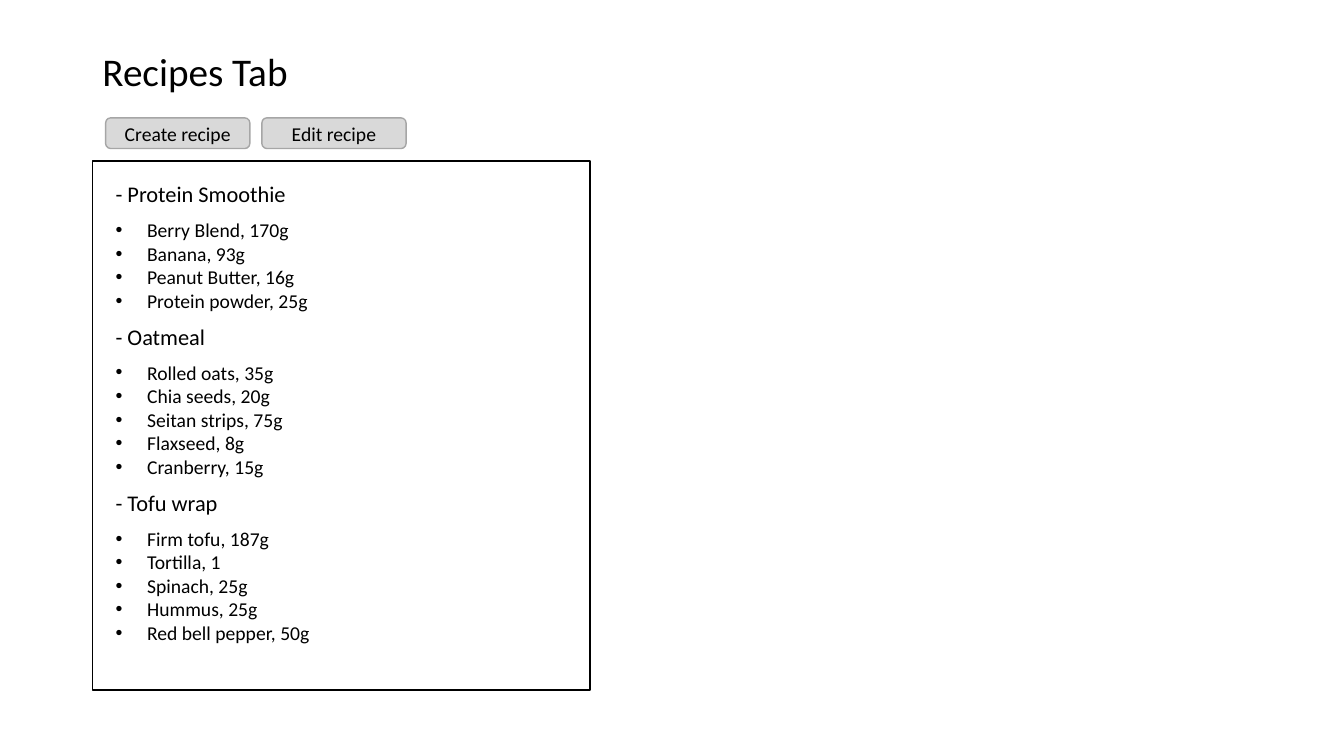
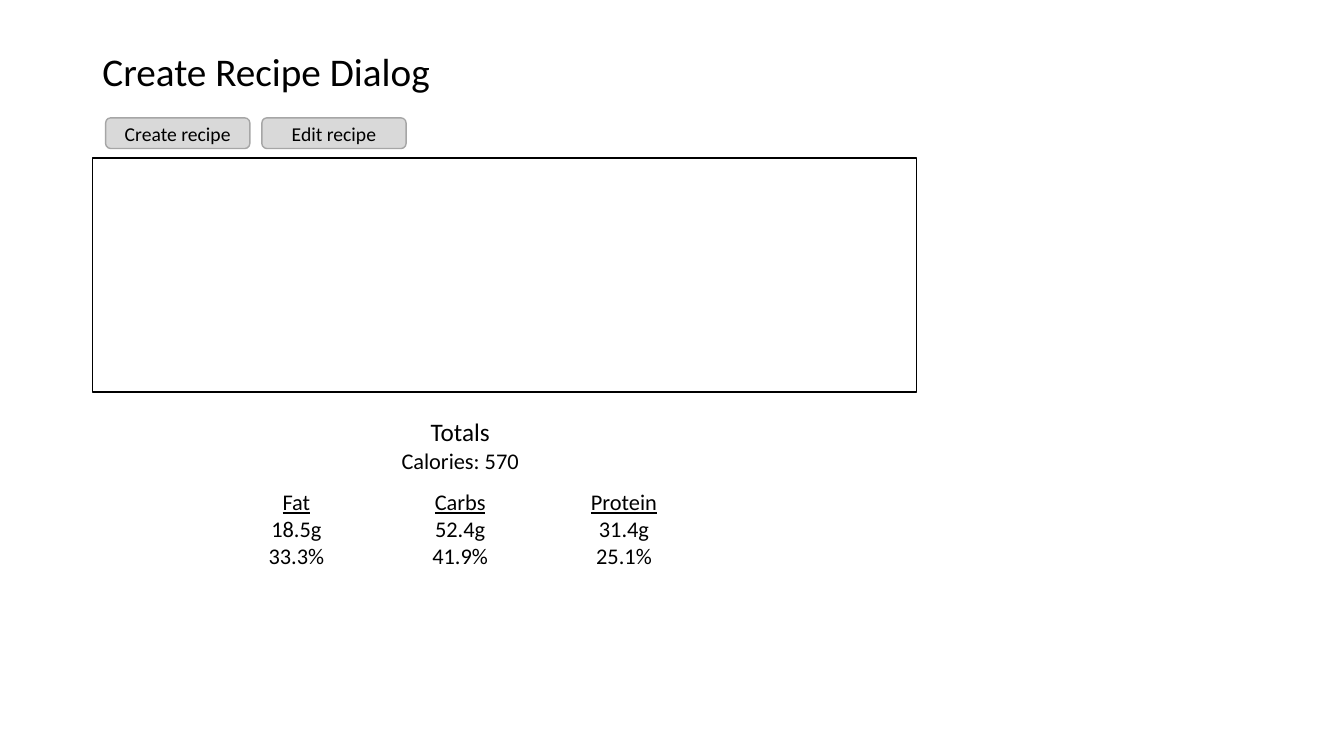
from lxml.etree import SubElement
from pptx import Presentation
from pptx.dml.color import RGBColor
from pptx.enum.shapes import MSO_SHAPE as Shape
from pptx.enum.text import MSO_ANCHOR as Anchor, MSO_AUTO_SIZE as AutoSize, PP_ALIGN as Align
from pptx.oxml.ns import qn
from pptx.util import Pt

# Shared style
FONT = "Calibri"
INK, BUTTON_FILL, BUTTON_EDGE = "000000", "D9D9D9", "A6A6A6"
PANEL_LEFT, CONTENT_LEFT = 66, 75.5
HEADING_HEIGHT, LINE_HEIGHT, INSETS = 26.6, 17, 7.2
BULLET_INDENT = 22.5

# Content
BUTTONS = ["Create recipe", "Edit recipe"]
RECIPES = {
    "Protein Smoothie": ["Berry Blend, 170g", "Banana, 93g",
                         "Peanut Butter, 16g", "Protein powder, 25g"],
    "Oatmeal": ["Rolled oats, 35g", "Chia seeds, 20g", "Seitan strips, 75g",
                "Flaxseed, 8g", "Cranberry, 15g"],
    "Tofu wrap": ["Firm tofu, 187g", "Tortilla, 1", "Spinach, 25g",
                  "Hummus, 25g", "Red bell pepper, 50g"],
}
MACROS = [("Fat", "18.5g", "33.3%"), ("Carbs", "52.4g", "41.9%"),
          ("Protein", "31.4g", "25.1%")]


def color(value):
    return RGBColor.from_string(value)


def box(left, top, width, height):
    return Pt(left), Pt(top), Pt(width), Pt(height)


def write(frame, lines, size, align=Align.LEFT):
    frame.word_wrap = True
    frame.text = "\n".join(lines)
    for paragraph in frame.paragraphs:
        paragraph.alignment = align
        for run in paragraph.runs:
            run.font.name = FONT
            run.font.size = Pt(size)
            run.font.color.rgb = color(INK)


def add_text(shapes, place, lines, size, align=Align.LEFT):
    frame = shapes.add_textbox(*box(*place)).text_frame
    write(frame, lines, size, align)
    frame.auto_size = AutoSize.SHAPE_TO_FIT_TEXT
    return frame


def add_outline(shapes, kind, place, edge, fill=None):
    outline = shapes.add_shape(kind, *box(*place))
    outline.shadow.inherit = False
    outline.line.color.rgb = color(edge)
    outline.line.width = Pt(1)
    if fill:
        outline.fill.solid()
        outline.fill.fore_color.rgb = color(fill)
    else:
        outline.fill.background()
    return outline


def add_bullets(frame):
    for paragraph in frame.paragraphs:
        properties = paragraph._p.get_or_add_pPr()
        properties.set("marL", str(Pt(BULLET_INDENT)))
        properties.set("indent", str(-Pt(BULLET_INDENT)))
        SubElement(properties, qn("a:buFont")).set("typeface", "Arial")
        SubElement(properties, qn("a:buChar")).set("char", "•")


def add_screen(deck, heading, panel_top, panel_width, panel_height):
    """Add a slide with its title, panel and button row."""
    slide = deck.slides.add_slide(deck.slide_layouts[5])
    title = slide.shapes.title
    title.left, title.top, title.width, title.height = box(PANEL_LEFT, 28.8, 828, 48)
    write(title.text_frame, [heading], 28)
    title.text_frame.auto_size = AutoSize.NONE
    title.text_frame.vertical_anchor = Anchor.MIDDLE
    title.text_frame.paragraphs[0].line_spacing = 0.9

    add_outline(slide.shapes, Shape.RECTANGLE,
                (PANEL_LEFT, panel_top, panel_width, panel_height), INK)
    for column, label in enumerate(BUTTONS):
        button = add_outline(slide.shapes, Shape.ROUNDED_RECTANGLE,
                             (CONTENT_LEFT + column * 111.6, 84.2, 103, 21.9),
                             BUTTON_EDGE, BUTTON_FILL)
        write(button.text_frame, [label], 14, Align.CENTER)
        button.text_frame.vertical_anchor = Anchor.MIDDLE
    return slide


def add_recipe(slide, top, name, ingredients):
    """Add one recipe group and return the top of the next."""
    recipe = slide.shapes.add_group_shape().shapes
    list_top = top + HEADING_HEIGHT
    list_height = INSETS + LINE_HEIGHT * len(ingredients)
    add_text(recipe, (CONTENT_LEFT, top, 146, HEADING_HEIGHT), [f"- {name}"], 16)
    add_bullets(add_text(recipe, (CONTENT_LEFT, list_top, 175.7, list_height),
                         ingredients, 14))
    return list_top + list_height


def add_totals(slide):
    left, width, step = 259.6, 138.2, 117
    add_text(slide.shapes, (left, 293.8, width, 29), ["Totals"], 18, Align.CENTER)
    add_text(slide.shapes, (left, 316.1, width, HEADING_HEIGHT),
             ["Calories: 570"], 16, Align.CENTER)
    # Macro columns, centred under the totals
    macros = slide.shapes.add_group_shape().shapes
    for column, lines in enumerate(MACROS):
        frame = add_text(macros, (left + (column - 1) * step, 345.1, width, 65.5),
                         lines, 16, Align.CENTER)
        frame.paragraphs[0].runs[0].font.underline = True


def main():
    deck = Presentation()
    deck.slide_width, deck.slide_height = Pt(960), Pt(540)

    # Recipe list
    recipes_tab = add_screen(deck, "Recipes Tab", 115, 355.5, 378)
    top = 125.5
    for name, ingredients in RECIPES.items():
        top = add_recipe(recipes_tab, top, name, ingredients)

    # Empty dialog with totals
    add_totals(add_screen(deck, "Create Recipe Dialog", 113, 588.7, 167))

    deck.save("out.pptx")


main()
